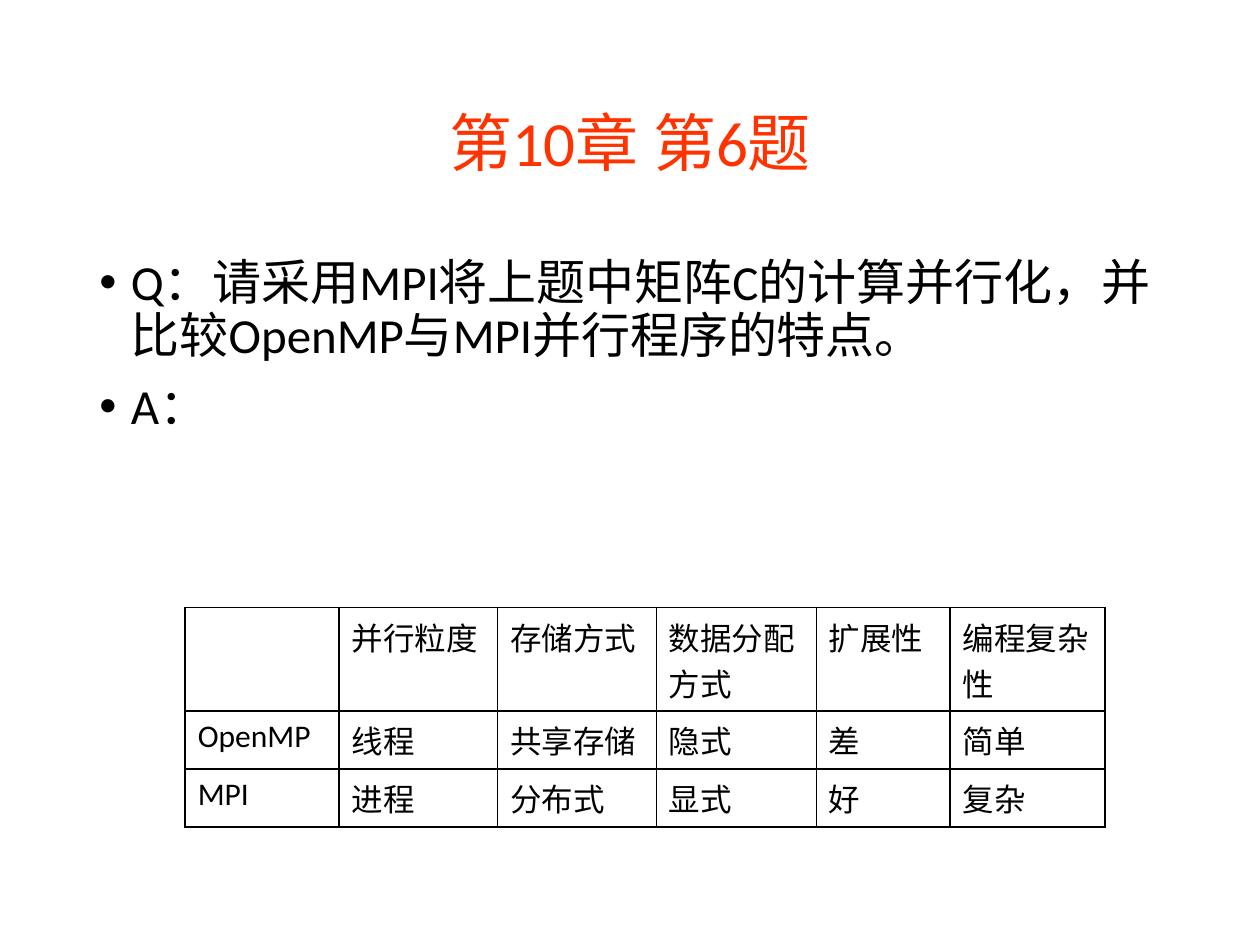
from dataclasses import dataclass

import pptx
import pptx.dml.color
import pptx.enum.text
import pptx.oxml
import pptx.oxml.ns
import pptx.util
from pptx.enum.text import MSO_ANCHOR, PP_ALIGN

Inches = pptx.util.Inches
Pt = pptx.util.Pt


@dataclass(frozen=True)
class Theme:
    font: str = "Calibri"
    accent: str = "FF3300"
    ink: str = "000000"
    title_size: int = 36
    body_size: int = 28
    table_size: int = 18
    border_width: int = 1


@dataclass(frozen=True)
class Area:
    """A rectangle given as shares of the slide's width and height."""
    left: float
    top: float
    width: float
    height: float

    def place(self, deck) -> tuple[int, int, int, int]:
        wide, high = deck.slide_width, deck.slide_height
        return (int(self.left * wide), int(self.top * high),
                int(self.width * wide), int(self.height * high))


THEME = Theme()
TITLE_AREA = Area(0.069, 0.053, 0.862, 0.193)
BODY_AREA = Area(0.069, 0.267, 0.862, 0.635)
TABLE_AREA = Area(0.147, 0.643, 0.73, 0.232)

TITLE = "第10章 第6题"
BODY = (
    "Q：请采用MPI将上题中矩阵C的计算并行化，并比较OpenMP与MPI并行程序的特点。",
    "A：",
)
COLUMN_WIDTHS = (1.22, 1.26, 1.26, 1.27, 1.06, 1.23)
ROW_HEIGHTS = (0.82, 0.46, 0.46)
COMPARISON = (
    ("", "并行粒度", "存储方式", "数据分配方式", "扩展性", "编程复杂性"),
    ("OpenMP", "线程", "共享存储", "隐式", "差", "简单"),
    ("MPI", "进程", "分布式", "显式", "好", "复杂"),
)


def write(para, text: str, *, size: int, color: str = THEME.ink,
          align=PP_ALIGN.LEFT, line_spacing: float = 1.0,
          space_before: int = 0, bullet: str = "") -> None:
    para.alignment = align
    para.line_spacing = line_spacing
    para.space_before = Pt(space_before)
    para.font.size = Pt(size)
    if bullet:
        hang = Inches(0.25)
        properties = para._p.get_or_add_pPr()
        properties.set("marL", str(hang))
        properties.set("indent", str(-hang))
        namespace = pptx.oxml.ns.nsdecls("a")
        for mark in (f'<a:buFont {namespace} typeface="Arial"/>',
                     f'<a:buChar {namespace} char="{bullet}"/>'):
            properties.insert_element_before(
                pptx.oxml.parse_xml(mark), "a:tabLst", "a:defRPr", "a:extLst")
    if text:
        span = para.add_run()
        span.text = text
        span.font.name = THEME.font
        span.font.size = Pt(size)
        span.font.color.rgb = pptx.dml.color.RGBColor.from_string(color)


def add_text(deck, slide, area: Area, lines: tuple[str, ...], *,
             anchor=MSO_ANCHOR.TOP, **style) -> None:
    frame = slide.shapes.add_textbox(*area.place(deck)).text_frame
    frame.word_wrap = True
    frame.vertical_anchor = anchor
    for index, line in enumerate(lines):
        para = frame.add_paragraph() if index else frame.paragraphs[0]
        write(para, line, **style)


def add_borders(cell) -> None:
    properties = cell._tc.get_or_add_tcPr()
    for index, side in enumerate(("lnL", "lnR", "lnT", "lnB")):
        properties.insert(index, pptx.oxml.parse_xml(
            f'<a:{side} {pptx.oxml.ns.nsdecls("a")} w="{Pt(THEME.border_width)}">'
            f'<a:solidFill><a:srgbClr val="{THEME.ink}"/></a:solidFill></a:{side}>'))


def add_comparison(deck, slide) -> None:
    table = slide.shapes.add_table(
        len(ROW_HEIGHTS), len(COLUMN_WIDTHS), *TABLE_AREA.place(deck)).table
    table.first_row = table.horz_banding = False
    for column, width in zip(table.columns, COLUMN_WIDTHS):
        column.width = Inches(width)
    for row, height, texts in zip(table.rows, ROW_HEIGHTS, COMPARISON):
        row.height = Inches(height)
        for cell, text in zip(row.cells, texts):
            cell.fill.background()
            add_borders(cell)
            write(cell.text_frame.paragraphs[0], text, size=THEME.table_size)


def main() -> None:
    deck = pptx.Presentation()
    deck.slide_width, deck.slide_height = Inches(10), Inches(7.5)
    slide = deck.slides.add_slide(deck.slide_layouts[6])
    add_text(deck, slide, TITLE_AREA, (TITLE,), anchor=MSO_ANCHOR.MIDDLE,
             size=THEME.title_size, color=THEME.accent,
             align=PP_ALIGN.CENTER)
    add_text(deck, slide, BODY_AREA, BODY, size=THEME.body_size,
             line_spacing=0.9, space_before=10, bullet="•")
    add_comparison(deck, slide)
    deck.save("out.pptx")


if __name__ == "__main__":
    main()
